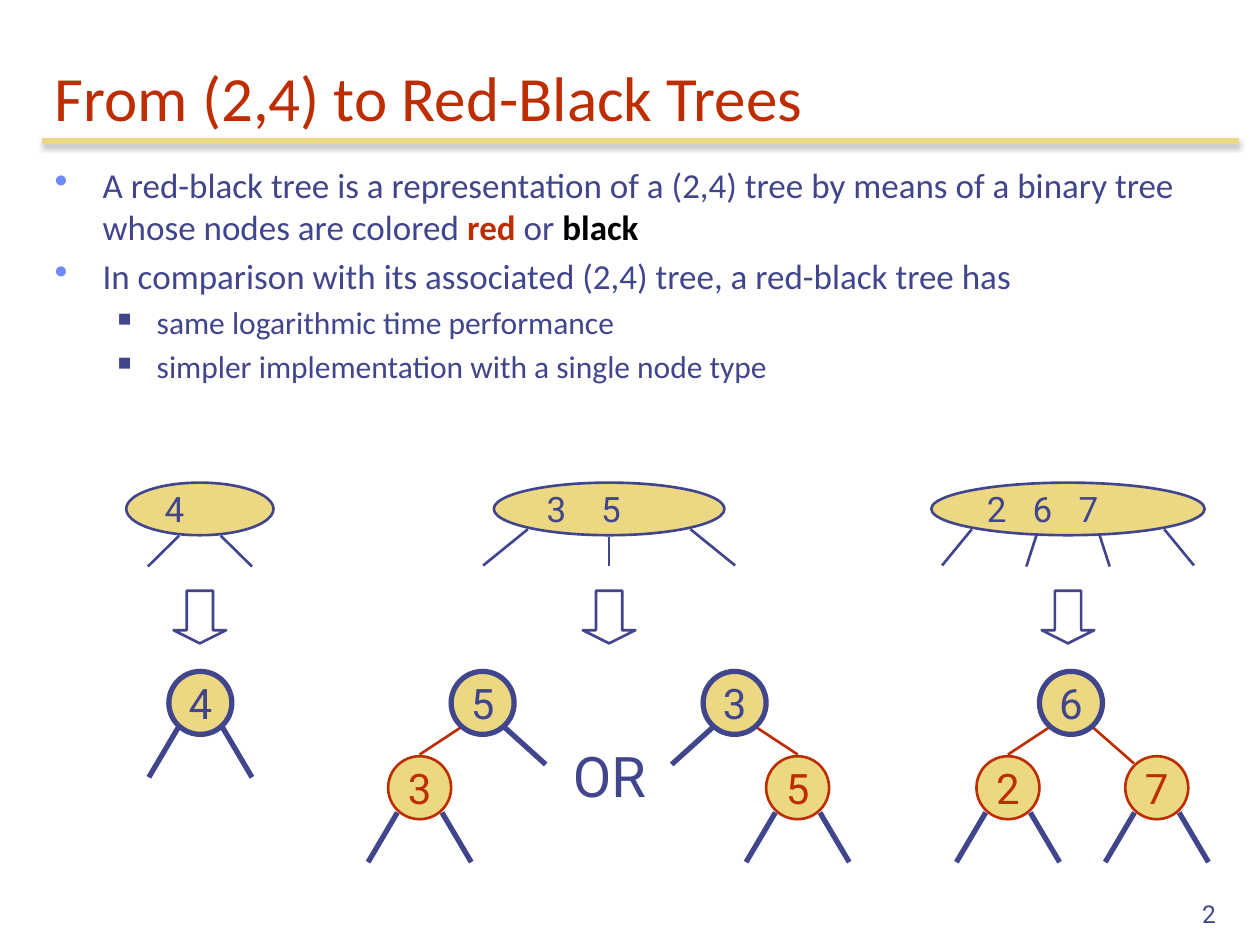
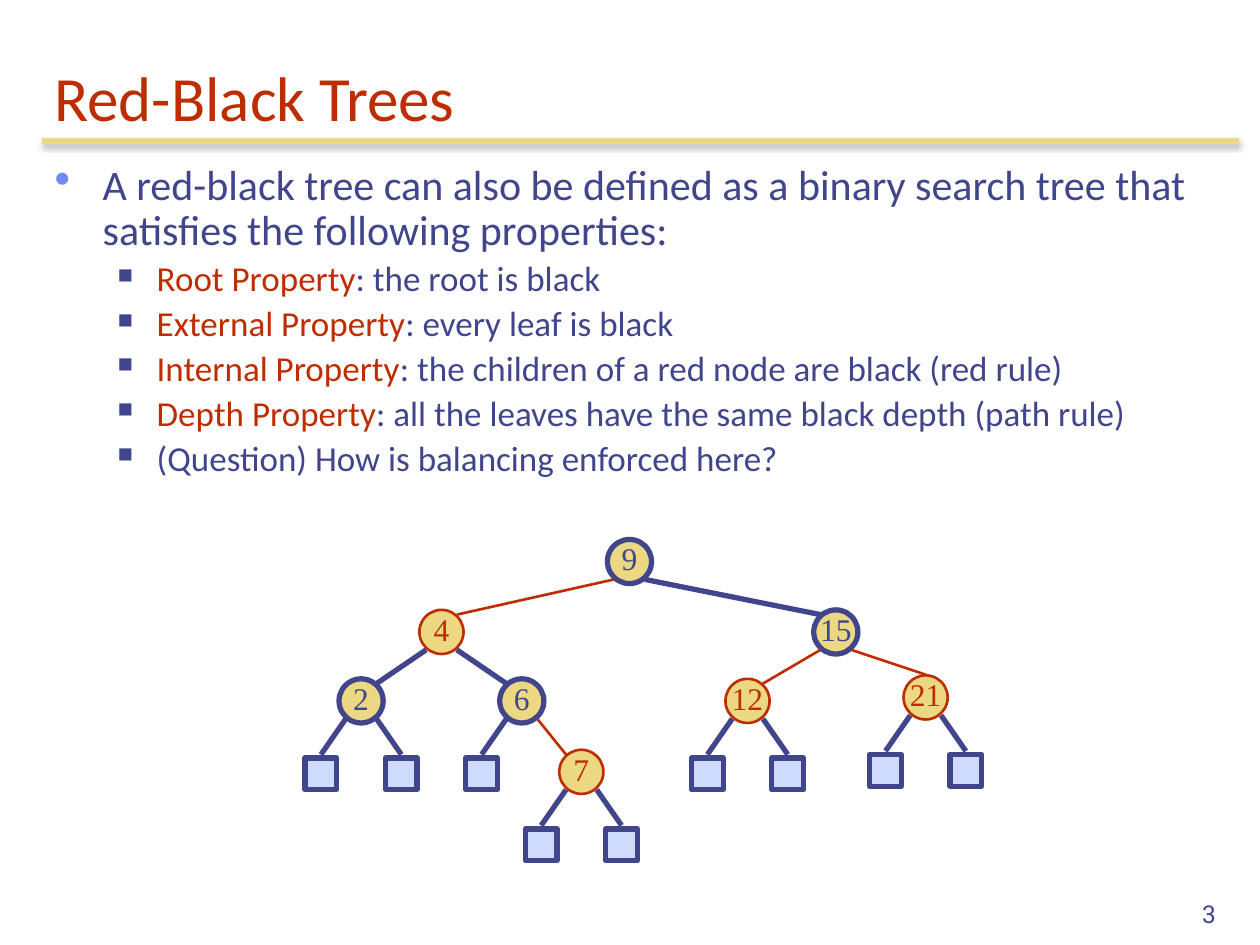
"""Build two slides that introduce red-black trees."""
import dataclasses
import math

import lxml.etree
import pptx
import pptx.dml.color
import pptx.enum.shapes
import pptx.enum.text
import pptx.oxml.ns
import pptx.util

Cm = pptx.util.Cm
Pt = pptx.util.Pt
MSO_SHAPE = pptx.enum.shapes.MSO_SHAPE
ALIGN = pptx.enum.text.PP_ALIGN
ANCHOR = pptx.enum.text.MSO_ANCHOR


@dataclasses.dataclass(frozen=True)
class Theme:
    ink: str = "40458C"
    red: str = "BE2D00"
    black: str = "000000"
    gold: str = "ECD882"
    leaf: str = "CFDBFD"
    bullet: str = "6F89F7"
    text_font: str = "Calibri"
    label_font: str = "Roboto"
    key_font: str = "Times New Roman"
    title_size: int = 36
    or_size: int = 32
    node_size: int = 24
    multi_key_size: int = 20
    key_size: int = 18
    number_size: int = 14
    thick: float = 3
    thin: float = 1.5


def rgb(color):
    return pptx.dml.color.RGBColor.from_string(color)


def add_xml(parent, tag, **attributes):
    return lxml.etree.SubElement(parent, pptx.oxml.ns.qn(tag), attributes)


class Deck:
    def __init__(self, theme):
        self.theme = theme
        self.prs = pptx.Presentation()
        self.prs.slide_width, self.prs.slide_height = Cm(25.4), Cm(19.05)
        self.s = None

    def new_slide(self, title, number):
        t = self.theme
        self.s = self.prs.slides.add_slide(self.prs.slide_layouts[6])
        rule = self.line(0.85, 2.84, 24.97, 2.84, t.gold, t.thick)
        effects = rule._element.spPr.find(pptx.oxml.ns.qn("a:effectLst"))
        shadow = add_xml(effects, "a:outerShdw", blurRad="40000", dist="23000",
                         dir="5400000", rotWithShape="0")
        add_xml(add_xml(shadow, "a:srgbClr", val=t.black), "a:alpha", val="35000")
        self.text(title, 0.85, 0.85, 24.13, 1.98, t.title_size, t.text_font, t.red,
                  anchor=ANCHOR.BOTTOM)
        self.text(str(number), 19.47, 17.57, 5.29, 1.27, t.number_size, t.label_font,
                  t.ink, anchor=ANCHOR.BOTTOM, align=ALIGN.RIGHT)

    def style(self, p, size, font, color):
        p.font.size, p.font.name = Pt(size), font
        p.font.color.rgb = rgb(color)

    def text(self, text, x, y, w, h, size, font, color, anchor=ANCHOR.TOP,
             align=ALIGN.LEFT, wrap=True):
        tf = self.s.shapes.add_textbox(Cm(x), Cm(y), Cm(w), Cm(h)).text_frame
        tf.word_wrap, tf.vertical_anchor = wrap, anchor
        p = tf.paragraphs[0]
        p.text, p.alignment = text, align
        self.style(p, size, font, color)

    def body(self, items, sizes, line_spacing=1.0):
        """Add bullets; each item is a level and a list of (text, colour, bold) runs."""
        t = self.theme
        levels = [(0.97, -0.97, t.bullet, 110, "•"), (2.06, -0.79, t.ink, 60, "■")]
        tf = self.s.shapes.add_textbox(Cm(0.85), Cm(3.18), Cm(24.13), Cm(14.4)).text_frame
        tf.word_wrap = True
        for i, (level, runs) in enumerate(items):
            p = tf.add_paragraph() if i else tf.paragraphs[0]
            margin, indent, color, percent, char = levels[level]
            p.level = level
            pPr = p._p.get_or_add_pPr()
            pPr.set("marL", str(Cm(margin)))
            pPr.set("indent", str(Cm(indent)))
            add_xml(add_xml(pPr, "a:buClr"), "a:srgbClr", val=color)
            add_xml(pPr, "a:buSzPct", val=str(percent * 1000))
            add_xml(pPr, "a:buChar", char=char)
            p.line_spacing, p.space_before = line_spacing, Pt(0.2 * sizes[level])
            self.style(p, sizes[level], t.text_font, t.ink)
            for text, run_color, bold in runs:
                r = p.add_run()
                r.text = text
                if run_color != t.ink:
                    r.font.color.rgb = rgb(run_color)
                if bold:
                    r.font.bold = True

    def line(self, x1, y1, x2, y2, color, width):
        sp = self.s.shapes.add_connector(pptx.enum.shapes.MSO_CONNECTOR.STRAIGHT,
                                         Cm(x1), Cm(y1), Cm(x2), Cm(y2))
        sp.line.color.rgb, sp.line.width = rgb(color), Pt(width)
        add_xml(sp._element.spPr, "a:effectLst")
        return sp

    def edge(self, x1, y1, x2, y2, is_red=False):
        self.line(x1, y1, x2, y2, *self.pen(is_red))

    def pen(self, is_red):
        t = self.theme
        return (t.red, t.thin) if is_red else (t.ink, t.thick)

    def shape(self, kind, cx, cy, w, h, fill, color, width):
        """Add a preset shape around its centre."""
        sp = self.s.shapes.add_shape(kind, Cm(cx - w / 2), Cm(cy - h / 2), Cm(w), Cm(h))
        sp.shadow.inherit = False
        if fill:
            sp.fill.solid()
            sp.fill.fore_color.rgb = rgb(fill)
        else:
            sp.fill.background()
        sp.line.color.rgb, sp.line.width = rgb(color), Pt(width)
        return sp

    def label(self, sp, text, size, font, color, insets=(0.25, 0.13, 0.25, 0.13)):
        tf = sp.text_frame
        tf.word_wrap, tf.vertical_anchor = False, ANCHOR.MIDDLE
        (tf.margin_left, tf.margin_top,
         tf.margin_right, tf.margin_bottom) = map(Cm, insets)
        p = tf.paragraphs[0]
        p.text, p.alignment = text, ALIGN.CENTER
        self.style(p, size, font, color)
        return p

    def node(self, text, cx, cy, diameter, is_red, size, font, **options):
        color, width = self.pen(is_red)
        sp = self.shape(MSO_SHAPE.OVAL, cx, cy, diameter, diameter,
                        self.theme.gold, color, width)
        self.label(sp, text, size, font, color, **options)

    def multi_node(self, keys, cx, w, tracking, branches):
        """Add a (2,4) node, its branches and the arrow below it."""
        t = self.theme
        sp = self.shape(MSO_SHAPE.OVAL, cx, 10.26, w, 1.06, t.gold, t.ink, t.thin)
        p = self.label(sp, keys, t.multi_key_size, t.label_font, t.ink,
                       insets=(0.25, 0.13, 1.27, 0.13))
        p.runs[0]._r.get_or_add_rPr().set("spc", str(tracking))
        for dx1, y1, dx2, y2 in branches:
            for side in (-1, 1) if dx1 else (1,):
                self.line(cx + side * dx1, y1, cx + side * dx2, y2, t.ink, t.thin)
        arrow = self.shape(MSO_SHAPE.DOWN_ARROW, cx, 12.44, 1.06, 1.06,
                           None, t.ink, t.thin)
        arrow.adjustments[0], arrow.adjustments[1] = 0.5, 0.25


def conversion_slide(deck):
    t = deck.theme
    deck.new_slide("From (2,4) to Red-Black Trees", 2)
    deck.body([
        (0, [("A red-black tree is a representation of a (2,4) tree by means of a "
              "binary tree whose nodes are colored ", t.ink, False),
             ("red", t.red, True), (" or ", t.ink, False), ("black", t.black, True)]),
        (0, [("In comparison with its associated (2,4) tree, a red-black tree has",
              t.ink, False)]),
        (1, [("same logarithmic time performance", t.ink, False)]),
        (1, [("simpler implementation with a single node type", t.ink, False)]),
    ], sizes=(20, 18))

    deck.multi_node("4", 4.03, 2.97, 500, [(0.42, 10.8, 1.05, 11.42)])
    deck.multi_node("3 5", 12.28, 4.65, 750,
                    [(0, 10.82, 0, 11.4), (1.64, 10.67, 2.54, 11.4)])
    deck.multi_node("2 6 7", 21.53, 5.51, 500,
                    [(1.94, 10.67, 2.54, 11.4), (0.64, 10.8, 0.84, 11.42)])

    root_y, child_y = 14.17, 15.88
    stubs = [(-1.04, 1.5, False), (1.04, 1.5, False)]
    nodes = [
        ("4", 4.04, root_y, False, stubs),
        ("5", 9.73, root_y, False, [(-1.27, 1.04, True), (1.27, 1.24, False)]),
        ("3", 8.46, child_y, True, stubs),
        ("3", 14.81, root_y, False, [(-1.27, 1.24, False), (1.27, 1.04, True)]),
        ("5", 16.08, child_y, True, stubs),
        ("6", 21.59, root_y, False, [(-1.27, 1.04, True), (1.27, 1.22, True)]),
        ("2", 20.32, child_y, True, stubs),
        ("7", 23.32, child_y, True, stubs),
    ]
    for key, x, y, is_red, edges in nodes:
        for dx, dy, edge_red in edges:
            deck.edge(x + math.copysign(0.45, dx), y + 0.5, x + dx, y + dy, edge_red)
        deck.node(key, x, y, 1.27, is_red, t.node_size, t.label_font)
    deck.text("OR", 11.3, 14.83, 2.01, 1.6, t.or_size, t.label_font, t.ink, wrap=False)


def properties_slide(deck):
    t = deck.theme
    deck.new_slide("Red-Black Trees", 3)
    properties = [
        ("Root Property", ": the root is black"),
        ("External Property", ": every leaf is black"),
        ("Internal Property", ": the children of a red node are black (red rule)"),
        ("Depth Property", ": all the leaves have the same black depth (path rule)"),
    ]
    deck.body([
        (0, [("A red-black tree can also be defined as a binary search tree that "
              "satisfies the following properties:", t.ink, False)]),
        *[(1, [(name, t.red, False), (rule, t.ink, False)]) for name, rule in properties],
        (1, [("(Question) How is balancing enforced here?", t.ink, False)]),
    ], sizes=(24, 20), line_spacing=0.9)

    left, right = -1, 1
    nodes = {
        "9": (12.69, 11.32, False, None, ()),
        "4": (8.9, 12.74, True, "9", ()),
        "15": (16.85, 12.74, False, "9", ()),
        "2": (7.28, 14.13, False, "4", (left, right)),
        "6": (10.52, 14.13, False, "4", (left,)),
        "12": (15.07, 14.13, True, "15", (left, right)),
        "21": (18.66, 14.06, True, "15", (left, right)),
        "7": (11.72, 15.56, True, "6", (left, right)),
    }
    for key, (x, y, is_red, parent, leaves) in nodes.items():
        if parent:
            px, py = nodes[parent][:2]
            side = math.copysign(0.31, x - px)
            end = (x, y - 0.46) if key == "21" else (x - side, y - 0.35)
            deck.edge(px + side, py + 0.36, *end, is_red)
        for side in leaves:
            leaf_x = x + side * 0.81
            deck.edge(x + side * 0.31, y + 0.36, leaf_x, y + 1.08)
            deck.shape(MSO_SHAPE.RECTANGLE, leaf_x, y + 1.47, 0.64, 0.64,
                       t.leaf, t.ink, t.thick)
        deck.node(key, x, y, 0.89, is_red, t.key_size, t.key_font, insets=(0, 0, 0, 0.13))


def main():
    deck = Deck(Theme())
    conversion_slide(deck)
    properties_slide(deck)
    deck.prs.save("out.pptx")


if __name__ == "__main__":
    main()
